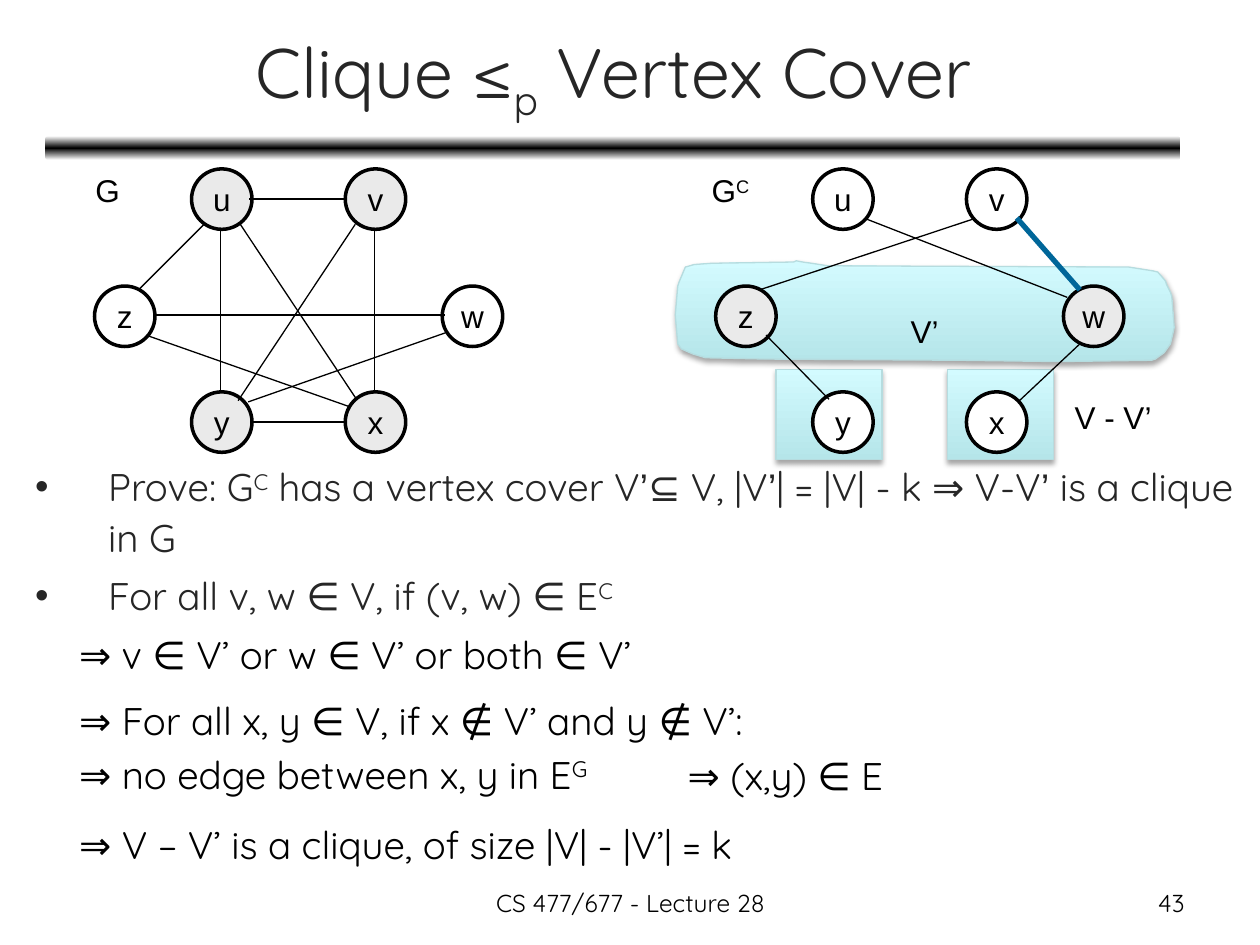
from lxml.etree import SubElement
from pptx import Presentation
from pptx.dml.color import RGBColor
from pptx.enum.shapes import MSO_CONNECTOR, MSO_SHAPE
from pptx.enum.text import MSO_ANCHOR, PP_ALIGN
from pptx.oxml.ns import qn
from pptx.util import Inches, Pt

BLACK = RGBColor(0x00, 0x00, 0x00)
WHITE = RGBColor(0xFF, 0xFF, 0xFF)
INK = RGBColor(0x26, 0x26, 0x26)
GRAY = RGBColor(0xEA, 0xEA, 0xEA)
BLUE = RGBColor(0x00, 0x66, 0x99)
AQUA_DARK = RGBColor(0xB5, 0xE5, 0xE9)
AQUA_LIGHT = RGBColor(0xD3, 0xFB, 0xFF)
AQUA_LINE = RGBColor(0xB6, 0xDC, 0xDF)

SANS, BODY = "Arial", "Quicksand"
COLS, ROWS = 100, 75
SUP, SUB = 30000, -25000
NODE = 4.8
GRAPH_SHIFT = 49.3

NODES = {"u": (15.2, 13.4), "v": (27.4, 13.4), "z": (7.5, 22.7),
         "w": (35.1, 22.7), "y": (15.2, 31.1), "x": (27.4, 31.1)}
EDGES = [(19.8, 15.8, 27.4, 15.8), (19.9, 33.5, 27.5, 33.5), (12.4, 25, 35.3, 25),
         (17.5, 18.2, 17.5, 31.1), (29.7, 18.2, 29.7, 31.1), (11, 23, 16.2, 17.8),
         (11.6, 26.6, 27.8, 32.3), (19, 17.7, 28.3, 31.7), (28.2, 17.8, 18.9, 31.8),
         (19.7, 31.9, 35.4, 26.4)]
COMPLEMENT_EDGES = [(11, 23, 27.9, 17.4), (11.5, 26.6, 16.5, 31.7),
                    (19.5, 17.4, 35.4, 23.6), (36.4, 27.3, 31.5, 31.9)]
COVER_EDGE = [(31.4, 17.3, 36.4, 23)]
COVER_OUTLINE = [(63, 20.8), (56.5, 20.9), (55.1, 21), (54.4, 21.2), (53.9, 22.4),
                 (53.8, 22.7), (53.6, 25), (53.8, 27.3), (54.1, 27.7), (55, 28.1),
                 (56, 28.4), (60.8, 28.5), (76.3, 28.6), (84, 28.7), (91.4, 28.6),
                 (91.7, 28.5), (92.4, 28), (92.9, 27.3), (93.2, 26), (93, 23.5),
                 (92.9, 23.2), (92.6, 22.6), (92.5, 22.3), (91.9, 21.6), (91.5, 21.5),
                 (89.6, 21.2), (65.7, 21.1), (64.4, 20.9), (63.7, 20.8), (63.2, 20.7)]


class SlideBuilder:
    """Places styled elements on a grid of COLS by ROWS."""

    def __init__(self, prs):
        self.w, self.h = prs.slide_width, prs.slide_height
        self.shapes = prs.slides.add_slide(prs.slide_layouts[6]).shapes

    def x(self, cols):
        return round(self.w * cols / COLS)

    def y(self, rows):
        return round(self.h * rows / ROWS)

    def box(self, left, top, width, height):
        return self.x(left), self.y(top), self.x(width), self.y(height)

    def gradient(self, sp, colors, angle):
        """Fill with evenly spaced colours; angle runs counter-clockwise."""
        sp.fill.gradient()
        sp.fill.gradient_angle = angle
        stops = sp._element.spPr.find(".//" + qn("a:gsLst"))
        for stop in list(stops):
            stops.remove(stop)
        for i, color in enumerate(colors):
            stop = SubElement(stops, qn("a:gs"), pos=str(100000 * i // (len(colors) - 1)))
            SubElement(stop, qn("a:srgbClr"), val=str(color))

    def title_bar(self, *place):
        sp = self.shapes.add_shape(MSO_SHAPE.ROUNDED_RECTANGLE, *self.box(*place))
        sp.shadow.inherit = False
        sp.line.fill.background()
        self.gradient(sp, [WHITE, BLACK, WHITE], 270)

    def aqua(self, sp):
        """Give a shape the light blue gradient, thin line and soft shadow."""
        self.gradient(sp, [AQUA_DARK, AQUA_LIGHT], 90)
        sp.line.color.rgb = AQUA_LINE
        sp.line.width = Pt(0.75)
        sp.shadow.inherit = False
        effects = sp._element.spPr.find(qn("a:effectLst"))
        shadow = SubElement(effects, qn("a:outerShdw"), blurRad=str(Pt(3.1)),
                            dist=str(Pt(1.8)), dir="5400000", rotWithShape="0")
        color = SubElement(shadow, qn("a:srgbClr"), val=str(BLACK))
        SubElement(color, qn("a:alpha"), val="35000")

    def panel(self, *place):
        self.aqua(self.shapes.add_shape(MSO_SHAPE.RECTANGLE, *self.box(*place)))

    def outline(self, points):
        pts = [(self.x(px), self.y(py)) for px, py in points]
        builder = self.shapes.build_freeform(*pts[0])
        builder.add_line_segments(pts[1:], close=True)
        self.aqua(builder.convert_to_shape())

    def node(self, name, left, top, fill):
        sp = self.shapes.add_shape(MSO_SHAPE.OVAL, *self.box(left, top, NODE, NODE))
        sp.shadow.inherit = False
        sp.fill.solid()
        sp.fill.fore_color.rgb = fill
        sp.line.color.rgb = BLACK
        sp.line.width = Pt(2)
        tf = sp.text_frame
        tf.word_wrap = False
        tf.vertical_anchor = MSO_ANCHOR.MIDDLE
        p = tf.paragraphs[0]
        p.alignment = PP_ALIGN.CENTER
        self.run(p, name, 18, SANS, BLACK)

    def edges(self, edges, shift=0, color=BLACK, width=0.75):
        for x1, y1, x2, y2 in edges:
            ln = self.shapes.add_connector(MSO_CONNECTOR.STRAIGHT, self.x(x1 + shift),
                                           self.y(y1), self.x(x2 + shift), self.y(y2))
            ln.line.color.rgb = color
            ln.line.width = Pt(width)
            SubElement(ln._element.spPr, qn("a:effectLst"))

    def graph(self, shaded, shift=0):
        for name, (left, top) in NODES.items():
            self.node(name, left + shift, top, GRAY if name in shaded else WHITE)

    def run(self, p, text, size, font, color, baseline=0):
        r = p.add_run()
        r.text = text
        r.font.size = Pt(size)
        r.font.name = font
        r.font.color.rgb = color
        if baseline:
            r._r.get_or_add_rPr().set("baseline", str(baseline))

    def bullet(self, p):
        pPr = p._p.get_or_add_pPr()
        pPr.set("marL", str(Inches(0.58)))
        pPr.set("indent", str(-Inches(0.58)))
        p.line_spacing = 1.1
        SubElement(pPr, qn("a:buFont"), typeface=SANS)
        SubElement(pPr, qn("a:buChar"), char="•")

    def text(self, place, *paragraphs, size=22, font=BODY, color=BLACK, wrap=False,
             align=PP_ALIGN.LEFT, anchor=MSO_ANCHOR.TOP, bullets=False):
        """Each paragraph is a list of strings or (string, baseline, font) runs."""
        tf = self.shapes.add_textbox(*self.box(*place)).text_frame
        tf.word_wrap = wrap
        tf.vertical_anchor = anchor
        for i, runs in enumerate(paragraphs):
            p = tf.add_paragraph() if i else tf.paragraphs[0]
            p.alignment = align
            if i:
                p.space_before = Pt(size * 0.2)
            if bullets:
                self.bullet(p)
            for item in runs:
                words, baseline, face = (item, 0, font) if isinstance(item, str) else item
                self.run(p, words, size, face, color, baseline)

    def label(self, place, *runs):
        self.text(place, runs, size=18, font=SANS)


def main():
    prs = Presentation()
    prs.slide_width, prs.slide_height = Inches(10), Inches(7.5)
    s = SlideBuilder(prs)

    s.title_bar(3.6, 10.8, 90.1, 1.9)
    for left in (75.2, 61.6):
        s.panel(left, 29.3, 8.4, 7.2)
    s.outline(COVER_OUTLINE)
    s.text((3.7, 1.1, 90, 9.9), ["Clique ≤", ("p", SUB, BODY), " Vertex Cover"], size=40,
           color=INK, wrap=True, align=PP_ALIGN.CENTER, anchor=MSO_ANCHOR.MIDDLE)

    s.graph("uvxy")
    s.edges(EDGES)
    s.graph("zw", GRAPH_SHIFT)
    s.edges(COMPLEMENT_EDGES, GRAPH_SHIFT)
    s.edges(COVER_EDGE, GRAPH_SHIFT, BLUE, 3)
    s.label((6.6, 13.1, 4, 4), "G")
    s.label((55.5, 13.1, 5.2, 4), "G", ("C", SUP, SANS))
    s.label((71.3, 24.3, 4.3, 4), "V’")
    s.label((84.3, 31.1, 8.2, 4), "V - V’")

    prime, sup_c = ("’", 0, SANS), ("C", SUP, BODY)
    s.text((1.8, 35.9, 98.2, 15.4),
           ["Prove: G", sup_c, " has a vertex cover V", prime, "⊆ V, |V", prime,
            "| = |V| - k ⇒ V-V", prime, " is a clique in G"],
           ["For all v, w ∈ V, if (v, w) ∈ E", sup_c],
           color=INK, wrap=True, bullets=True)
    s.text((5.3, 49.6, 89.7, 4.7), ["⇒ v ∈ V’ or w ∈ V’ or both ∈ V’"], wrap=True)
    s.text((5.3, 54.8, 57.2, 9.2), ["⇒ For all x, y ∈ V, if x ∉ V’ and y ∉ V’:"],
           ["⇒ no edge between x, y in E", ("G", SUP, BODY)])
    s.text((5.3, 64.7, 63.5, 4.7), ["⇒ V – V’ is a clique, of size |V| - |V’| = k"])
    s.text((53.6, 59.2, 18.7, 4.7), ["⇒ (x,y) ∈ E"])

    s.text((71.7, 70, 23.3, 3.5), ["43"], size=14, wrap=True, align=PP_ALIGN.RIGHT)
    s.text((34.2, 70, 31.7, 3.5), ["CS 477/677 - Lecture 28"], size=14, wrap=True,
           align=PP_ALIGN.CENTER)
    prs.save("out.pptx")


if __name__ == "__main__":
    main()
